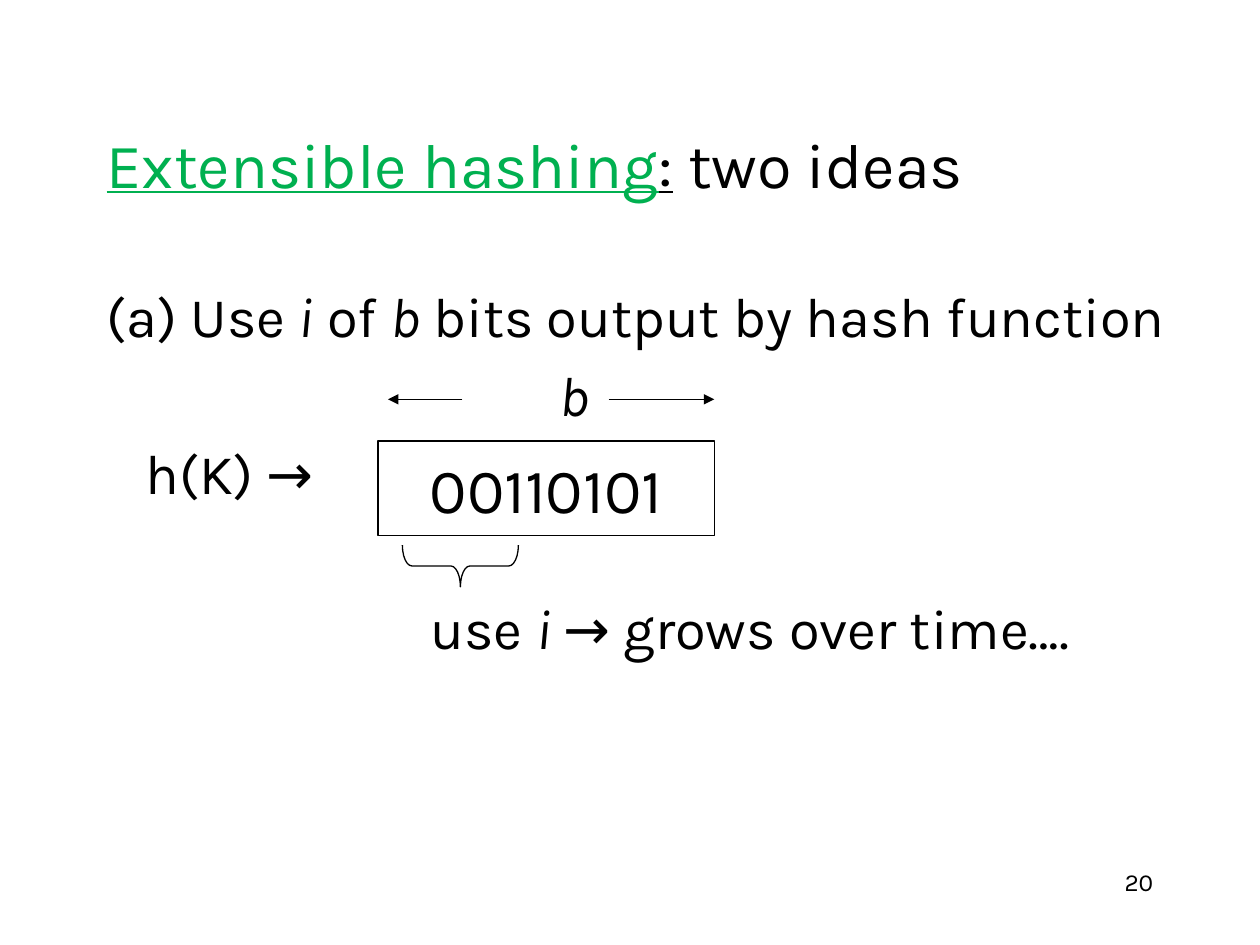
from lxml.etree import SubElement
from pptx import Presentation
from pptx.dml.color import RGBColor
from pptx.enum.shapes import MSO_CONNECTOR, MSO_SHAPE
from pptx.enum.text import MSO_ANCHOR, PP_ALIGN
from pptx.oxml.ns import qn
from pptx.util import Cm, Pt

BLACK = RGBColor(0, 0, 0)
WHITE = RGBColor(255, 255, 255)
GREEN = RGBColor(0x00, 0xB0, 0x50)
FONT = "Karla"
LINE_WIDTH = Pt(0.75)
BODY_SIZE = 32
BODY_GAP = 6.4


def add_run(p, text, size=BODY_SIZE, color=BLACK, italic=False, underline=False):
    r = p.add_run()
    r.text = text
    r.font.name = FONT
    r.font.size = Pt(size)
    r.font.color.rgb = color
    r.font.italic = italic
    r.font.underline = underline


def add_text_box(s, x, y, w, h, anchor=MSO_ANCHOR.TOP):
    tf = s.shapes.add_textbox(Cm(x), Cm(y), Cm(w), Cm(h)).text_frame
    tf.word_wrap = True
    tf.vertical_anchor = anchor
    return tf


def add_body_line(p, runs, indent=0, before=BODY_GAP):
    """Fill p with (text, italic) runs, indented in cm and spaced in points."""
    p._p.get_or_add_pPr().set("marL", str(Cm(indent)))
    p.space_before = Pt(before)
    for text, italic in runs:
        add_run(p, text, italic=italic)


def add_outline_shape(s, kind, x, y, w, h):
    sp = s.shapes.add_shape(kind, Cm(x), Cm(y), Cm(w), Cm(h))
    sp.shadow.inherit = False
    sp.fill.background()
    sp.line.color.rgb = BLACK
    sp.line.width = LINE_WIDTH
    return sp


def add_arrow(s, x1, x2, y):
    c = s.shapes.add_connector(MSO_CONNECTOR.STRAIGHT, Cm(x1), Cm(y), Cm(x2), Cm(y))
    c.line.color.rgb = BLACK
    c.line.width = LINE_WIDTH
    SubElement(c.line._get_or_add_ln(), qn("a:tailEnd"), type="triangle")
    SubElement(c._element.spPr, qn("a:effectLst"))


def add_title(s):
    p = add_text_box(s, 1.9, 1.7, 21.6, 3.18, MSO_ANCHOR.MIDDLE).paragraphs[0]
    add_run(p, "Extensible hashing", 36, GREEN, underline=True)
    add_run(p, ":", 36, underline=True)
    add_run(p, " two ideas", 36)


def add_body(s):
    tf = add_text_box(s, 1.9, 5.56, 22.02, 11.4)
    add_body_line(tf.paragraphs[0], [
        ("(a) Use ", False), ("i", True), (" of ", False), ("b", True),
        (" bits output by hash function", False)], before=0)
    add_body_line(tf.add_paragraph(), [("b", True)], indent=9.13)
    add_body_line(tf.add_paragraph(), [("h(K) →", False)], indent=0.79)
    add_body_line(tf.add_paragraph(), [
        ("use ", False), ("i ", True), ("→ grows over time….", False)],
        indent=6.53, before=50.2)


def add_hash_diagram(s):
    bits = add_outline_shape(s, MSO_SHAPE.RECTANGLE, 7.62, 8.89, 6.78, 1.9)
    bits.fill.solid()
    bits.fill.fore_color.rgb = WHITE
    tf = bits.text_frame
    tf.word_wrap = False
    tf.vertical_anchor = MSO_ANCHOR.MIDDLE
    p = tf.paragraphs[0]
    p.alignment = PP_ALIGN.CENTER
    add_run(p, "00110101", 36)

    add_arrow(s, 9.32, 7.82, 8.05)
    add_arrow(s, 12.27, 14.4, 8.05)

    brace = add_outline_shape(s, MSO_SHAPE.RIGHT_BRACE, 8.86, 10.24, 0.84, 2.34)
    brace.adjustments[0] = 0.23
    brace.rotation = 90


def add_page_number(s, number):
    p = add_text_box(s, 18.21, 17.35, 5.29, 1.27).paragraphs[0]
    p.alignment = PP_ALIGN.RIGHT
    add_run(p, number, 14)


def main():
    prs = Presentation()
    prs.slide_width, prs.slide_height = Cm(25.4), Cm(19.05)
    s = prs.slides.add_slide(prs.slide_layouts[6])
    add_page_number(s, "20")
    add_title(s)
    add_body(s)
    add_hash_diagram(s)
    prs.save("out.pptx")


if __name__ == "__main__":
    main()
